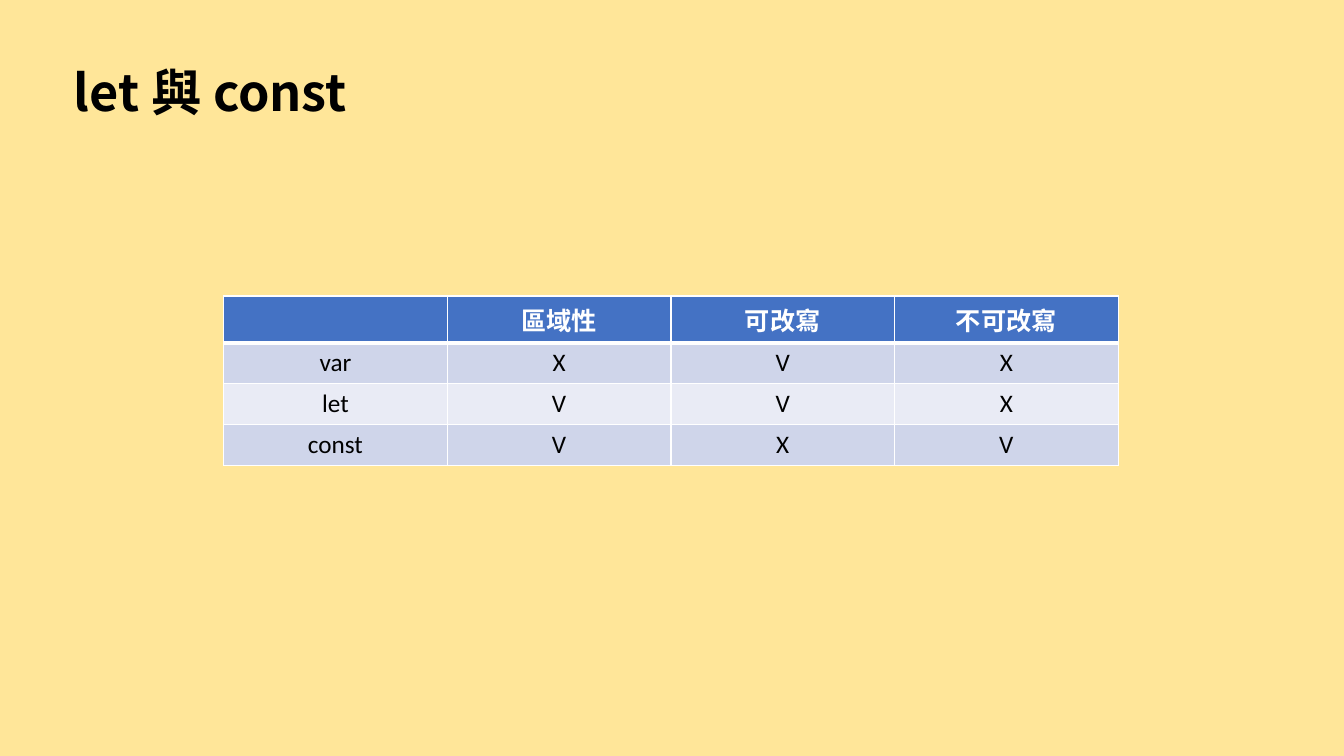
from lxml.etree import SubElement
from pptx import Presentation
from pptx.dml.color import RGBColor
from pptx.enum.text import MSO_ANCHOR, PP_ALIGN
from pptx.oxml.ns import qn
from pptx.util import Pt

EMU_PER_PX = 9525
CJK_FONT = "Noto Sans CJK SC"
WHITE, BLACK = "FFFFFF", "000000"
HEADER_FILL = "4472C4"
BAND_FILLS = ("CFD5EA", "E9EBF5")
COMPARISON = (
    ("", "區域性", "可改寫", "不可改寫"),
    ("var", "X", "V", "X"),
    ("let", "V", "V", "X"),
    ("const", "V", "X", "V"),
)


def px(length):
    return length * EMU_PER_PX


def paint(fill, color):
    fill.solid()
    fill.fore_color.rgb = RGBColor.from_string(color)


def style_paragraph(paragraph, font_name, size, color, bold):
    """Set the paragraph font, with one shared typeface for Chinese text."""
    font = paragraph.font
    font.name = font_name
    font.size = Pt(size)
    font.bold = bold
    paint(font.fill, color)
    for run in paragraph.runs:
        properties = run.font._element
        SubElement(properties, qn("a:ea"), typeface=CJK_FONT)


def add_title(slide, text, left, top, width, height):
    frame = slide.shapes.add_textbox(px(left), px(top), px(width), px(height)).text_frame
    frame.word_wrap = True
    frame.vertical_anchor = MSO_ANCHOR.MIDDLE
    paragraph = frame.paragraphs[0]
    paragraph.text = text
    paragraph.line_spacing = 0.9
    style_paragraph(paragraph, CJK_FONT, 36, BLACK, True)


def add_border(cell, side, color, points):
    line = SubElement(cell._tc.get_or_add_tcPr(), qn(f"a:ln{side}"), w=str(Pt(points)))
    fill = SubElement(line, qn("a:solidFill"))
    SubElement(fill, qn("a:srgbClr"), val=color)


def add_comparison_table(slide, rows, left, top, column_width, row_height):
    column_count = len(rows[0])
    table = slide.shapes.add_table(
        len(rows), column_count, px(left), px(top),
        px(column_width * column_count), px(row_height * len(rows)),
    ).table
    for row_index, texts in enumerate(rows):
        is_header = row_index == 0
        row_fill = HEADER_FILL if is_header else BAND_FILLS[(row_index - 1) % 2]
        border_widths = {
            "L": 1,
            "R": 1,
            "T": 3 if row_index == 1 else 1,
            "B": 3 if is_header else 1,
        }
        for column_index, text in enumerate(texts):
            cell = table.cell(row_index, column_index)
            for side, points in border_widths.items():
                add_border(cell, side, WHITE, points)
            paint(cell.fill, row_fill)
            paragraph = cell.text_frame.paragraphs[0]
            if text:
                paragraph.text = text
            paragraph.alignment = PP_ALIGN.CENTER
            style_paragraph(paragraph, "Calibri", 18, WHITE if is_header else BLACK, is_header)


def main():
    presentation = Presentation()
    presentation.slide_width = px(1280)
    presentation.slide_height = px(720)
    slide = presentation.slides.add_slide(presentation.slide_layouts[6])
    paint(slide.background.fill, "FFE699")
    add_comparison_table(slide, COMPARISON, 213, 282, 213, 39)
    add_title(slide, "let 與 const", 61, 30, 347, 122)
    presentation.save("out.pptx")


if __name__ == "__main__":
    main()
